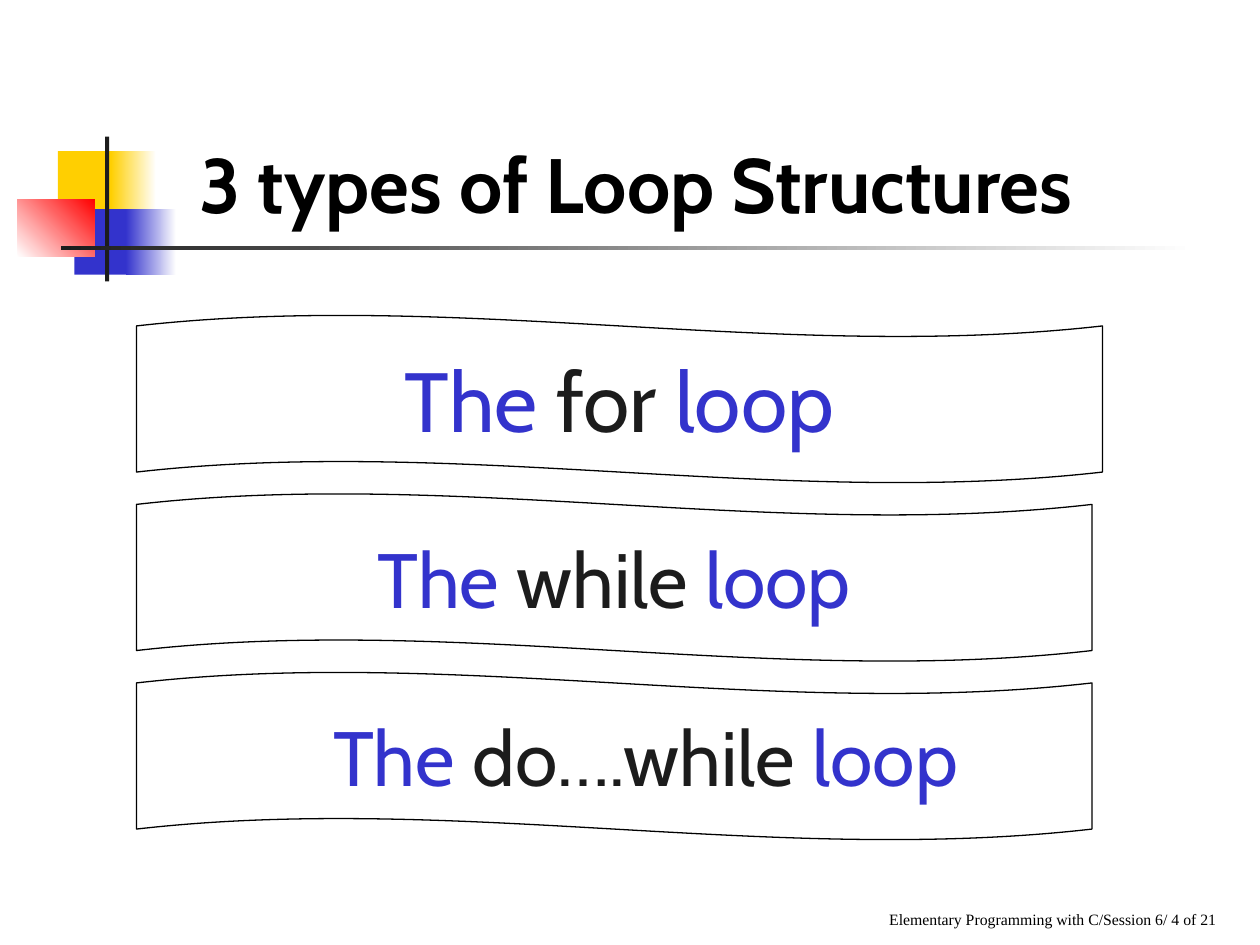
from typing import NamedTuple

from pptx import Presentation
from pptx.dml.color import RGBColor
from pptx.enum.shapes import MSO_SHAPE
from pptx.enum.text import MSO_ANCHOR, MSO_AUTO_SIZE, PP_ALIGN
from pptx.util import Emu, Inches, Pt

COLS, ROWS = 120, 90
CELL = Inches(10) // COLS
YELLOW, BLUE, RED = "FFCF01", "3333CC", "FF0000"
DARK, BLACK, WHITE = "1C1C1C", "000000", "FFFFFF"


class Box(NamedTuple):
    """Place on the grid: column, row, columns wide, rows high."""
    col: float
    row: float
    wide: float
    high: float

    def emus(self) -> list[Emu]:
        return [Emu(round(n * CELL)) for n in self]


class Block(NamedTuple):
    box: Box
    start: str
    end: str = ""
    angle: float = 0


class Wave(NamedTuple):
    word: str
    wide: int
    size: int
    indent: float = 0


BLOCKS = [
    Block(Box(5.52, 14.4, 5.76, 6.24), YELLOW),
    Block(Box(10.56, 14.4, 4.32, 6.24), YELLOW, WHITE),
    Block(Box(7.08, 19.92, 5.52, 6.24), BLUE),
    Block(Box(12, 19.92, 4.8, 6.24), BLUE, WHITE),
    Block(Box(1.68, 18.96, 7.32, 5.52), WHITE, RED, 45),
    Block(Box(10, 13, 0.4, 13.8), DARK),
    Block(Box(5.8, 23.4, 108, 0.4), DARK, WHITE),
]
WAVES = [
    Wave("for", 92, 48),
    Wave("while", 91, 44),
    Wave("do….while", 91, 44, 0.5),
]
LEFT, TOP, HIGH, STEP = 13, 30, 16, 17


def hue(code: str) -> RGBColor:
    return RGBColor.from_string(code)


def write(shape, *parts: tuple[str, str], size: float, font: str = "Cabin",
          bold: bool = False, align=PP_ALIGN.LEFT, anchor=MSO_ANCHOR.TOP,
          indent: float = 0) -> None:
    """Fill a shape with one paragraph of (text, colour) parts."""
    frame = shape.text_frame
    frame.word_wrap = True
    frame.auto_size = MSO_AUTO_SIZE.NONE
    frame.vertical_anchor = anchor
    para = frame.paragraphs[0]
    para.alignment = align
    if indent:
        para._p.get_or_add_pPr().set("marL", str(Inches(indent)))
    for text, code in parts:
        run = para.add_run()
        run.text = text
        run.font.name = font
        run.font.size = Pt(size)
        run.font.bold = bold
        run.font.color.rgb = hue(code)


def draw_block(slide, block: Block) -> None:
    shape = slide.shapes.add_shape(MSO_SHAPE.RECTANGLE, *block.box.emus())
    shape.shadow.inherit = False
    shape.line.fill.background()
    if not block.end:
        shape.fill.solid()
        shape.fill.fore_color.rgb = hue(block.start)
        return
    shape.fill.gradient()
    shape.fill.gradient_angle = block.angle
    for stop, code in zip(shape.fill.gradient_stops, (block.start, block.end)):
        stop.color.rgb = hue(code)


def draw_wave(slide, wave: Wave, row: int) -> None:
    box = Box(LEFT, row, wave.wide, HIGH)
    shape = slide.shapes.add_shape(MSO_SHAPE.WAVE, *box.emus())
    shape.adjustments[0] = 0.065
    shape.shadow.inherit = False
    shape.fill.background()
    shape.line.color.rgb = hue(BLACK)
    shape.line.width = Pt(0.75)
    write(shape, ("The ", BLUE), (f"{wave.word} ", DARK), ("loop", BLUE),
          size=wave.size, align=PP_ALIGN.CENTER, anchor=MSO_ANCHOR.MIDDLE,
          indent=wave.indent)


def main() -> None:
    deck = Presentation()
    deck.slide_width, deck.slide_height = COLS * CELL, ROWS * CELL
    slide = deck.slides.add_slide(deck.slide_layouts[5])

    for block in BLOCKS:
        draw_block(slide, block)

    title = slide.shapes.title
    title.left, title.top, title.width, title.height = Box(
        17.76, 12.36, 99.36, 10.08).emus()
    write(title, ("3 types of Loop Structures", BLACK), size=44, bold=True)

    for i, wave in enumerate(WAVES):
        draw_wave(slide, wave, TOP + i * STEP)

    foot = slide.shapes.add_textbox(*Box(44, 83, 73, 6).emus())
    write(foot, ("Elementary Programming with C/Session 6/ 4 of 21", BLACK),
          size=9, font="Times New Roman", align=PP_ALIGN.RIGHT,
          anchor=MSO_ANCHOR.BOTTOM)

    deck.save("out.pptx")


if __name__ == "__main__":
    main()
